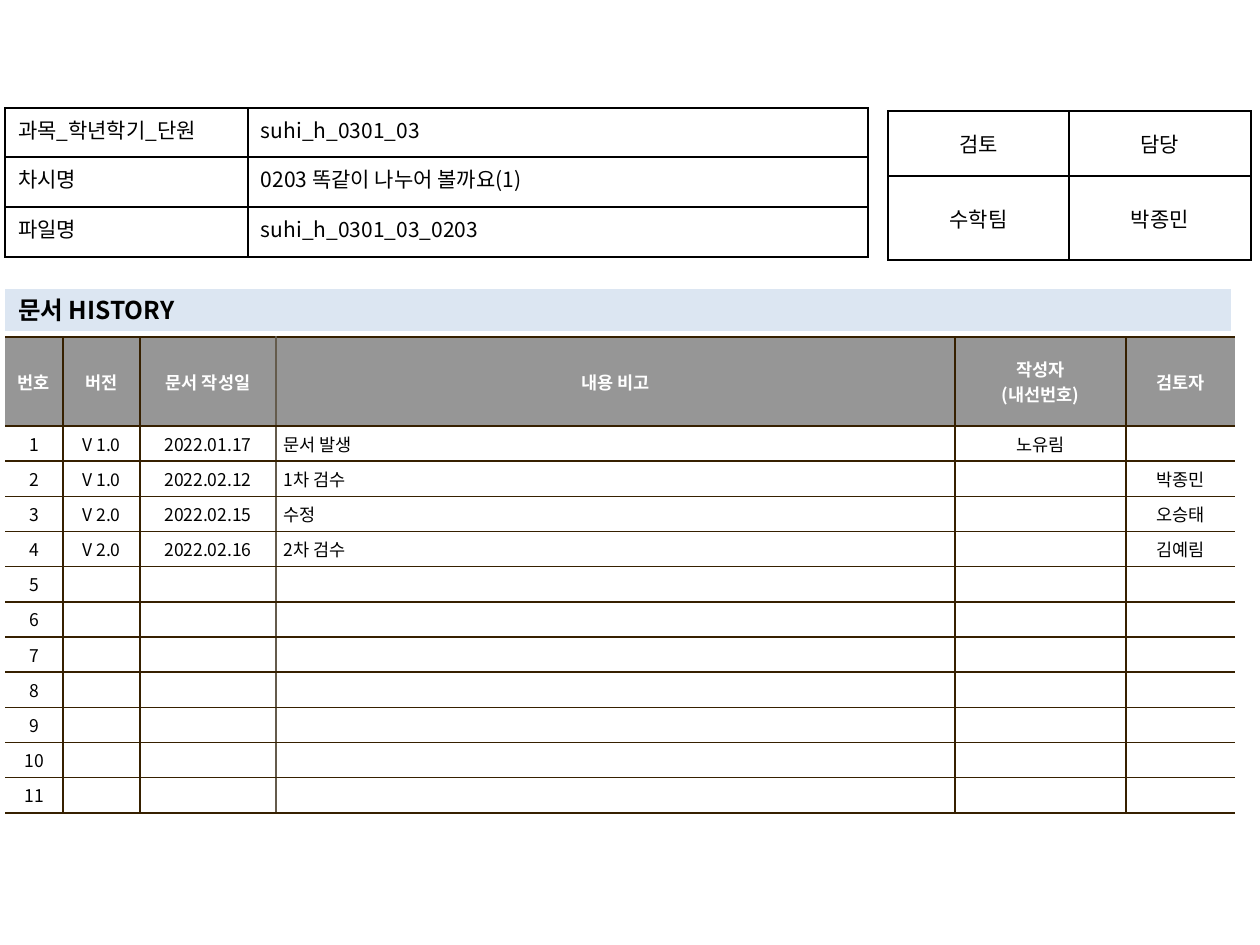
from pptx import Presentation
from pptx.dml.color import RGBColor
from pptx.enum.shapes import MSO_SHAPE as Shape
from pptx.enum.text import MSO_ANCHOR as Anchor, PP_ALIGN as Align
from pptx.oxml.ns import qn
from pptx.util import Emu, Pt
from lxml.etree import SubElement

COLORS = {"ink": "000000", "white": "FFFFFF", "header": "969696",
          "band": "DCE6F2", "rule": "362000", "seam": "645B4C"}
FONT = "Noto Sans CJK KR"


def px(length):
    return Emu(round(length * 914400 / 126))


class DocumentPage:
    """Draws the tables and title band of a document history page."""

    def __init__(self, deck):
        self.page = deck.slides.add_slide(deck.slide_layouts[6])

    def set_text(self, frame, text, size, color="ink", bold=False, align=Align.LEFT):
        frame.text = text
        for para in frame.paragraphs:
            para.alignment = align
            for span in para.runs:
                font = span.font
                font.size, font.bold, font.name = Pt(size), bold, FONT
                font.color.rgb = RGBColor.from_string(COLORS[color])
                SubElement(font._element, qn("a:ea"), typeface=FONT)
            if not para.runs:
                SubElement(para._p, qn("a:endParaRPr"), sz=str(size * 100))

    def band(self, left, top, width, height, text):
        shape = self.page.shapes.add_shape(
            Shape.RECTANGLE, px(left), px(top), px(width), px(height))
        shape.shadow.inherit = False
        shape.fill.solid()
        shape.fill.fore_color.rgb = RGBColor.from_string(COLORS["band"])
        shape.line.fill.background()
        frame = shape.text_frame
        frame.margin_left = frame.margin_right = px(13)
        frame.margin_top = frame.margin_bottom = 0
        frame.vertical_anchor = Anchor.MIDDLE
        self.set_text(frame, text, 14, bold=True)

    def table(self, left, top, widths, heights):
        grid = self.page.shapes.add_table(
            len(heights), len(widths), px(left), px(top),
            px(sum(widths)), px(sum(heights))).table
        grid.first_row = grid.horz_banding = False
        for column, width in zip(grid.columns, widths):
            column.width = px(width)
        for row, height in zip(grid.rows, heights):
            row.height = px(height)
        return grid

    def cell(self, cell, text, size, borders, margins=(13, 6), anchor=Anchor.MIDDLE,
             fill=None, **style):
        cell.margin_left = cell.margin_right = px(margins[0])
        cell.margin_top = cell.margin_bottom = px(margins[1])
        cell.vertical_anchor = anchor
        self.set_text(cell.text_frame, text, size, **style)
        for side, color in zip("LRTB", borders):
            line = SubElement(cell._tc.get_or_add_tcPr(), qn(f"a:ln{side}"), w=str(Pt(1)))
            if color:
                solid = SubElement(line, qn("a:solidFill"))
                SubElement(solid, qn("a:srgbClr"), val=COLORS[color])
            else:
                SubElement(line, qn("a:noFill"))
        if fill:
            cell.fill.solid()
            cell.fill.fore_color.rgb = RGBColor.from_string(COLORS[fill])
        else:
            cell.fill.background()

    def history(self, left, top, widths, heights, records):
        grid = self.table(left, top, widths, heights)
        rules = [None, "rule", "rule", "seam", "rule", "rule", None]
        for row, record in enumerate(records):
            for column, text in enumerate(record):
                if row == 0:
                    style = dict(fill="header", color="white", bold=True)
                else:
                    style = dict(fill="white")
                remark = row > 0 and column == 3
                self.cell(grid.cell(row, column), text, 10,
                          (rules[column], rules[column + 1], "rule", "rule"),
                          margins=(8, 5),
                          align=Align.LEFT if remark else Align.CENTER, **style)

    def form(self, left, top, widths, heights, records, aligns, anchor):
        grid = self.table(left, top, widths, heights)
        for row, record in enumerate(records):
            for column, text in enumerate(record):
                self.cell(grid.cell(row, column), text, 12, ["ink"] * 4,
                          anchor=anchor, align=aligns[column])


def main():
    deck = Presentation()
    deck.slide_width, deck.slide_height = px(1260), px(945)
    page = DocumentPage(deck)

    records = [
        ("번호", "버전", "문서 작성일", "내용 비고", "작성자\n(내선번호)", "검토자"),
        ("1", "V 1.0", "2022.01.17", "문서 발생", "노유림", ""),
        ("2", "V 1.0", "2022.02.12", "1차 검수", "", "박종민"),
        ("3", "V 2.0", "2022.02.15", "수정", "", "오승태"),
        ("4", "V 2.0", "2022.02.16", "2차 검수", "", "김예림"),
    ]
    records += [(str(number), "", "", "", "", "") for number in range(5, 12)]
    page.history(5, 337, [58, 77, 136, 679, 171, 109], [89] + [35] * 11, records)

    page.form(888, 111, [181, 182], [65, 84],
              [("검토", "담당"), ("수학팀", "박종민")],
              [Align.CENTER, Align.CENTER], Anchor.MIDDLE)
    page.band(5, 289, 1226, 42, "문서 HISTORY")
    page.form(5, 108, [243, 620], [49, 50, 50],
              [("과목_학년학기_단원 ", "suhi_h_0301_03"),
               ("차시명", "0203 똑같이 나누어 볼까요(1)"),
               ("파일명", "suhi_h_0301_03_0203")],
              [Align.JUSTIFY, Align.LEFT], Anchor.TOP)
    deck.save("out.pptx")


if __name__ == "__main__":
    main()
